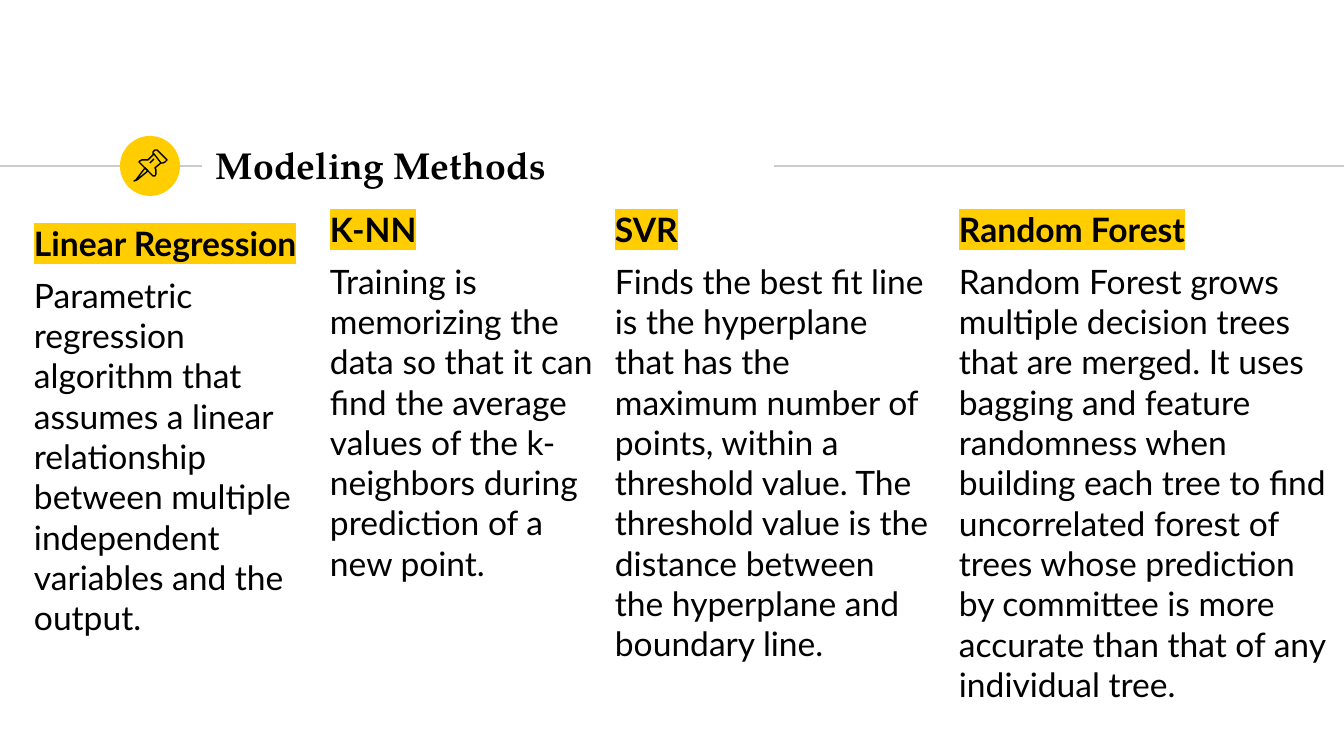
from dataclasses import dataclass

from lxml import etree
from pptx import Presentation
from pptx.dml.color import RGBColor
from pptx.enum.shapes import MSO_CONNECTOR, MSO_SHAPE
from pptx.enum.text import MSO_ANCHOR
from pptx.oxml.ns import qn
from pptx.util import Pt

STRAIGHT = MSO_CONNECTOR.STRAIGHT
OVAL = MSO_SHAPE.OVAL
TOP = MSO_ANCHOR.TOP
MIDDLE = MSO_ANCHOR.MIDDLE
EMU_PER_PIXEL = 914400 / 134.4


@dataclass(frozen=True)
class Theme:
    """Colours, fonts and type sizes of the slide."""
    ink: str = "000000"
    accent: str = "FFCD00"
    rule: str = "CCCCCC"
    title_font: str = "TeX Gyre Pagella"
    body_font: str = "Lato"
    title_size: int = 20
    body_size: int = 18
    paragraph_gap: int = 6
    line_width: float = 0.75
    inset: int = 13


def px(length):
    """Turn pixels into EMU."""
    return round(length * EMU_PER_PIXEL)


class SlideBuilder:
    """Draws the elements of one slide in one theme."""

    def __init__(self, slide, theme):
        """Keep the slide and its theme."""
        self.slide = slide
        self.theme = theme

    def rule(self, left, right, y):
        """Draw a thin horizontal line."""
        connector = self.slide.shapes.add_connector(STRAIGHT, px(left), px(y), px(right), px(y))
        connector.line.color.rgb = RGBColor.from_string(self.theme.rule)
        connector.line.width = Pt(self.theme.line_width)
        etree.SubElement(connector._element.spPr, qn("a:effectLst"))

    def disc(self, left, top, diameter):
        """Draw a filled circle without outline."""
        shape = self.slide.shapes.add_shape(OVAL, px(left), px(top), px(diameter), px(diameter))
        shape.shadow.inherit = False
        shape.fill.solid()
        shape.fill.fore_color.rgb = RGBColor.from_string(self.theme.accent)
        shape.line.fill.background()

    def icon(self, outlines):
        """Draw a group of unfilled outlines, each given as points and closure."""
        group = self.slide.shapes.add_group_shape()
        for points, closed in outlines:
            builder = group.shapes.build_freeform(*points[0], scale=EMU_PER_PIXEL)
            builder.add_line_segments(points[1:], close=closed)
            shape = builder.convert_to_shape()
            shape.shadow.inherit = False
            shape.fill.background()
            shape.line.color.rgb = RGBColor.from_string(self.theme.ink)
            shape.line.width = Pt(self.theme.line_width)

    def text_frame(self, box, anchor):
        """Add a wrapping text box and return its frame."""
        frame = self.slide.shapes.add_textbox(*map(px, box)).text_frame
        frame.word_wrap = True
        frame.vertical_anchor = anchor
        frame.margin_left = frame.margin_right = px(self.theme.inset)
        frame.margin_top = frame.margin_bottom = px(self.theme.inset)
        return frame

    def run(self, paragraph, text, font_name, size, bold=False, highlighted=False):
        """Add one styled run to a paragraph."""
        run = paragraph.add_run()
        run.text = text
        run.font.name = font_name
        run.font.size = Pt(size)
        run.font.bold = bold
        run.font.color.rgb = RGBColor.from_string(self.theme.ink)
        if highlighted:
            highlight = etree.Element(qn("a:highlight"))
            etree.SubElement(highlight, qn("a:srgbClr"), val=self.theme.accent)
            run.font._element.find(qn("a:solidFill")).addnext(highlight)

    def title(self, box, text):
        """Add the slide title."""
        paragraph = self.text_frame(box, MIDDLE).paragraphs[0]
        self.run(paragraph, text, self.theme.title_font, self.theme.title_size, bold=True)

    def method_column(self, box, heading, description):
        """Add a highlighted heading with its description below."""
        frame = self.text_frame(box, TOP)
        font_name, size = self.theme.body_font, self.theme.body_size
        self.run(frame.paragraphs[0], heading, font_name, size, bold=True, highlighted=True)
        paragraph = frame.add_paragraph()
        paragraph.space_before = Pt(self.theme.paragraph_gap)
        self.run(paragraph, description, font_name, size)


PUSHPIN = [
    ([(145, 168), (136, 180), (134, 181), (137, 180), (148, 171)], True),
    ([(154, 154), (161, 163), (163, 163), (165, 162), (166, 161), (167, 160),
      (166, 159), (157, 150), (155, 150), (154, 151), (153, 152), (153, 154)], True),
    ([(154, 154), (148, 160), (145, 160), (142, 160), (140, 161), (139, 162), (140, 163),
      (153, 176), (155, 176), (156, 174), (156, 170), (155, 168), (161, 163)], False),
    ([(150, 163), (154, 159)], False),
]

METHODS = [
    ((317, 196, 296, 503), "K-NN",
     "Training is memorizing the data so that it can find the average values of the "
     "k-neighbors during prediction of a new point."),
    ((602, 196, 343, 503), "SVR",
     "Finds the best fit line is the hyperplane that has the maximum number of points, "
     "within a threshold value. The threshold value is the distance between the "
     "hyperplane and boundary line."),
    ((946, 196, 398, 488), "Random Forest",
     "Random Forest grows multiple decision trees that are merged. It uses bagging and "
     "feature randomness when building each tree to find uncorrelated forest of trees "
     "whose prediction by committee is more accurate than that of any individual tree."),
    ((21, 210, 296, 446), "Linear Regression",
     "Parametric regression algorithm that assumes a linear relationship between "
     "multiple independent variables and the output."),
]


def main():
    """Build and save the slide."""
    presentation = Presentation()
    presentation.slide_width = px(1344)
    presentation.slide_height = px(756)
    slide = presentation.slides.add_slide(presentation.slide_layouts[6])
    builder = SlideBuilder(slide, Theme())
    builder.rule(0, 202, 166)
    builder.disc(120, 136, 60)
    builder.rule(774, 1344, 166)
    builder.title((203, 132, 570, 65), "Modeling Methods")
    builder.icon(PUSHPIN)
    for box, heading, description in METHODS:
        builder.method_column(box, heading, description)
    presentation.save("out.pptx")


if __name__ == "__main__":
    main()
